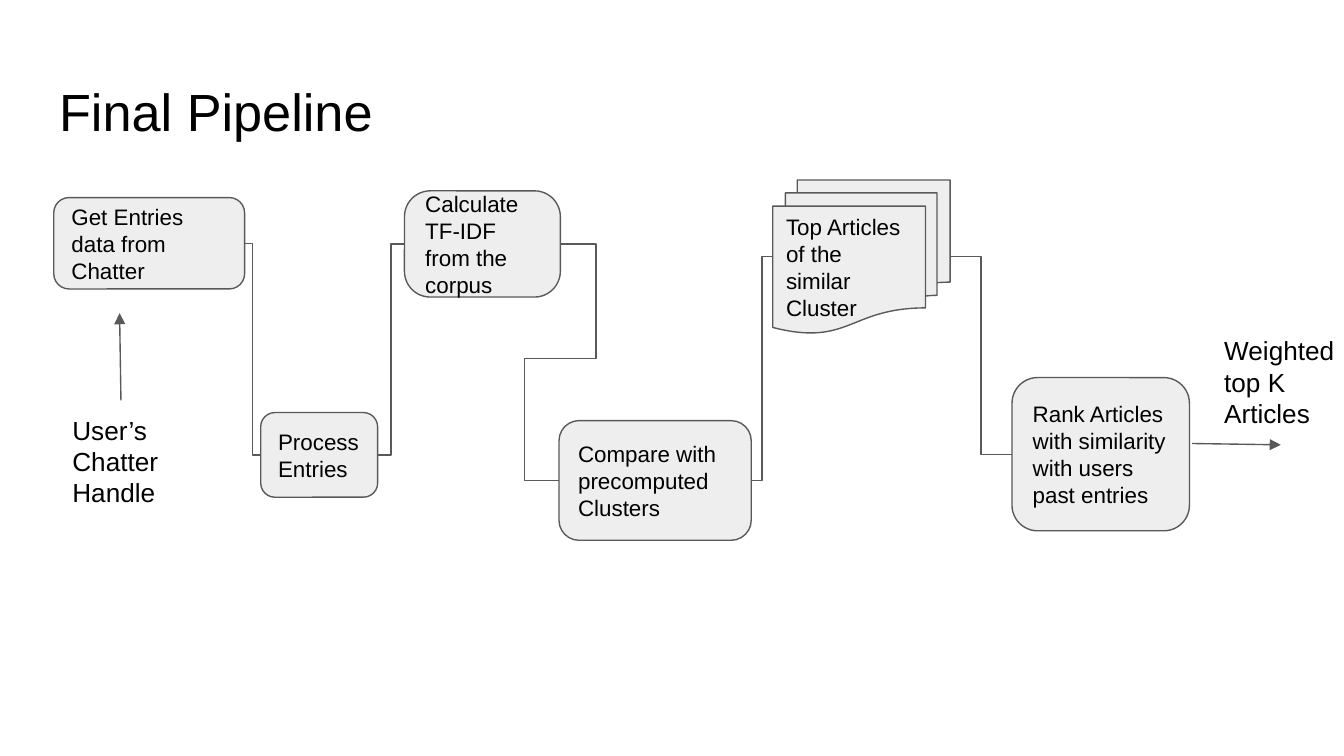
from dataclasses import dataclass

from lxml import etree
from pptx import Presentation
from pptx.dml.color import RGBColor
from pptx.enum import shapes, text
from pptx.oxml import ns
from pptx.util import Inches, Pt

LEFT_SITE, RIGHT_SITE = 1, 3


@dataclass(frozen=True)
class Theme:
    font: str = "Arial"
    ink: RGBColor = RGBColor(0, 0, 0)
    fill: RGBColor = RGBColor(0xEE, 0xEE, 0xEE)
    stroke: RGBColor = RGBColor(0x59, 0x59, 0x59)
    stroke_width: float = 0.75
    title_size: int = 28
    label_size: int = 14
    step_size: int = 12


@dataclass(frozen=True)
class Box:
    left: float
    top: float
    width: float
    height: float

    def lengths(self) -> list:
        return [Inches(v) for v in (self.left, self.top, self.width, self.height)]


@dataclass(frozen=True)
class Step:
    wording: str
    box: Box
    rounding: float | None = 0.167


@dataclass(frozen=True)
class Label:
    wording: str
    box: Box


@dataclass(frozen=True)
class Arrow:
    start: tuple[float, float]
    end: tuple[float, float]


THEME = Theme()
TITLE_BOX = Box(0.34, 0.49, 9.32, 0.63)
STEPS = [
    Step("Get Entries data from Chatter", Box(0.4, 1.47, 1.42, 0.68)),
    Step("Process Entries", Box(1.94, 3.07, 0.87, 0.63)),
    Step("Calculate TF-IDF from the corpus", Box(3.01, 1.42, 1.16, 0.79), 0.243),
    Step("Compare with precomputed Clusters", Box(4.16, 3.13, 1.43, 0.89)),
    Step("Top Articles of the similar Cluster", Box(5.75, 1.34, 1.32, 1.14), None),
    Step("Rank Articles with similarity with users past entries", Box(7.53, 2.81, 1.32, 1.14)),
]
LABELS = [
    Label("User’s Chatter Handle", Box(0.44, 2.98, 0.93, 0.44)),
    Label("Weighted top K Articles", Box(9.01, 2.39, 1.15, 0.85)),
]
ARROWS = [
    Arrow((0.9, 2.98), (0.89, 2.33)),
    Arrow((8.87, 3.3), (9.53, 3.31)),
]
DETOURS = {2: (-27, 0.485, 27)}


def write(shape, wording: str, *, size: int, anchor=text.MSO_ANCHOR.TOP) -> None:
    """Put left-aligned, wrapped text into a shape."""
    frame = shape.text_frame
    frame.text = wording
    frame.word_wrap = True
    frame.auto_size = text.MSO_AUTO_SIZE.NONE
    frame.vertical_anchor = anchor
    frame.margin_left = frame.margin_right = Inches(0.1)
    frame.margin_top = frame.margin_bottom = Inches(0.1)
    paragraph = frame.paragraphs[0]
    paragraph.alignment = text.PP_ALIGN.LEFT
    font = paragraph.runs[0].font
    font.name, font.size, font.color.rgb = THEME.font, Pt(size), THEME.ink


def outline(item) -> None:
    """Apply the common stroke to a shape or connector."""
    item.line.color.rgb = THEME.stroke
    item.line.width = Pt(THEME.stroke_width)


def draw_step(slide, step: Step):
    """Draw a pipeline step and return its shape."""
    preset = shapes.MSO_SHAPE
    kind = preset.FLOWCHART_MULTIDOCUMENT if step.rounding is None else preset.ROUNDED_RECTANGLE
    node = slide.shapes.add_shape(kind, *step.box.lengths())
    if step.rounding is not None:
        node.adjustments[0] = step.rounding
    node.shadow.inherit = False
    node.fill.solid()
    node.fill.fore_color.rgb = THEME.fill
    outline(node)
    write(node, step.wording, size=THEME.step_size, anchor=text.MSO_ANCHOR.MIDDLE)
    return node


def draw_connector(slide, kind, start=(0, 0), end=(0, 0)):
    """Draw a connector without a shadow and return it."""
    connector = slide.shapes.add_connector(kind, *(Inches(v) for v in (*start, *end)))
    outline(connector)
    etree.SubElement(connector._element.spPr, ns.qn("a:effectLst"))
    return connector


def draw_link(slide, source, target, detour: tuple[float, ...] = ()) -> None:
    """Join two steps by an elbow, optionally with a five-part detour."""
    link = draw_connector(slide, shapes.MSO_CONNECTOR.ELBOW)
    link.begin_connect(source, RIGHT_SITE)
    link.end_connect(target, LEFT_SITE)
    if detour:
        geometry = link._element.spPr.find(ns.qn("a:prstGeom"))
        geometry.set("prst", "bentConnector5")
        guides = geometry.find(ns.qn("a:avLst"))
        for number, share in enumerate(detour, 1):
            etree.SubElement(guides, ns.qn("a:gd"), name=f"adj{number}",
                             fmla=f"val {round(share * 100000)}")


def draw_arrow(slide, arrow: Arrow) -> None:
    """Draw a straight line with a triangular head at its end."""
    line = draw_connector(slide, shapes.MSO_CONNECTOR.STRAIGHT, arrow.start, arrow.end)
    etree.SubElement(line.line._get_or_add_ln(), ns.qn("a:tailEnd"), type="triangle")


def main() -> None:
    """Build the pipeline slide."""
    deck = Presentation()
    deck.slide_width, deck.slide_height = Inches(10), Inches(10 * 9 / 16)
    slide = deck.slides.add_slide(deck.slide_layouts[5])
    title = slide.shapes.title
    title.left, title.top, title.width, title.height = TITLE_BOX.lengths()
    write(title, "Final Pipeline", size=THEME.title_size)
    nodes = [draw_step(slide, step) for step in STEPS]
    for index, (source, target) in enumerate(zip(nodes, nodes[1:])):
        draw_link(slide, source, target, DETOURS.get(index, ()))
    for label in LABELS:
        write(slide.shapes.add_textbox(*label.box.lengths()), label.wording, size=THEME.label_size)
    for arrow in ARROWS:
        draw_arrow(slide, arrow)
    deck.save("out.pptx")


if __name__ == "__main__":
    main()
